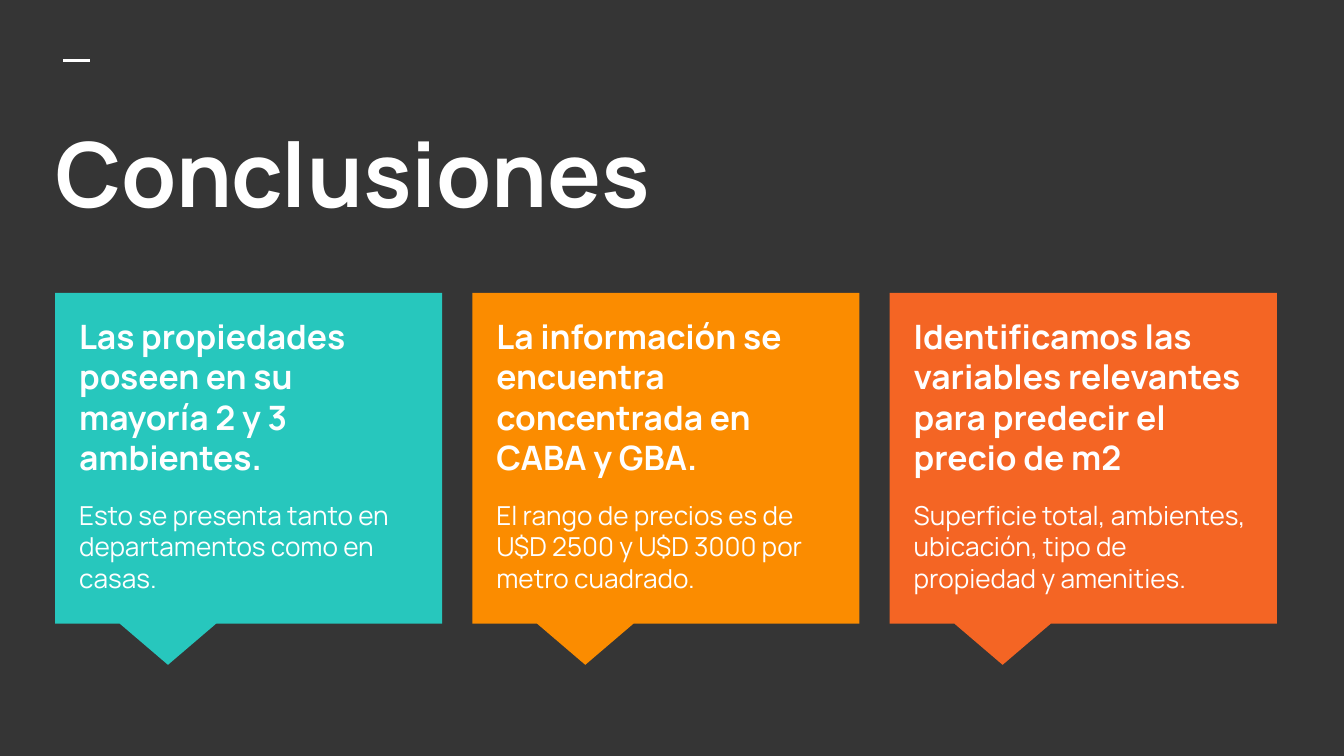
from lxml import etree
from pptx import Presentation
from pptx.dml.color import RGBColor
from pptx.enum.shapes import MSO_CONNECTOR, MSO_SHAPE
from pptx.enum.text import MSO_ANCHOR, MSO_AUTO_SIZE, PP_ALIGN
from pptx.oxml.ns import qn
from pptx.util import Inches, Pt

STRAIGHT = MSO_CONNECTOR.STRAIGHT
CALLOUT = MSO_SHAPE.RECTANGULAR_CALLOUT
TOP = MSO_ANCHOR.TOP
NO_AUTOFIT = MSO_AUTO_SIZE.NONE
LEFT = PP_ALIGN.LEFT

FONT = "Manrope"
DARK = RGBColor(0x35, 0x35, 0x35)
WHITE = RGBColor(0xFF, 0xFF, 0xFF)
TEAL = RGBColor(0x27, 0xC7, 0xBD)
AMBER = RGBColor(0xFB, 0x8C, 0x00)
ORANGE = RGBColor(0xF4, 0x65, 0x24)

PAGE_WIDTH = 10
PAGE_HEIGHT = PAGE_WIDTH * 9 / 16
CARD_LEFT = 0.41
CARD_TOP = 2.18
CARD_STEP = (6.62 - CARD_LEFT) / 2
CARDS = [
    (TEAL, "Las propiedades poseen en su mayoría 2 y 3 ambientes.",
     "Esto se presenta tanto en departamentos como en casas."),
    (AMBER, "La información se encuentra concentrada en CABA y GBA.",
     "El rango de precios es de U$D 2500 y U$D 3000 por metro cuadrado."),
    (ORANGE, "Identificamos las variables relevantes para predecir el precio de m2",
     "Superficie total, ambientes, ubicación, tipo de propiedad y amenities."),
]


def set_frame(frame):
    frame.word_wrap = True
    frame.auto_size = NO_AUTOFIT
    frame.vertical_anchor = TOP
    frame.margin_left = frame.margin_right = Inches(0.1)
    frame.margin_top = frame.margin_bottom = Inches(0.1)


def add_span(para, text, size, bold):
    para.alignment = LEFT
    span = para.add_run()
    span.text = text
    span.font.name = FONT
    span.font.size = Pt(size)
    span.font.bold = bold
    span.font.color.rgb = WHITE


def add_accent_line(page):
    line = page.shapes.add_connector(
        STRAIGHT, Inches(0.47), Inches(0.45), Inches(0.67), Inches(0.45))
    line.line.color.rgb = WHITE
    line.line.width = Pt(1.5)
    etree.SubElement(line._element.spPr, qn("a:effectLst"))


def set_title(page, text):
    title = page.shapes.title
    title.left, title.top = Inches(0.31), Inches(0.78)
    title.width, title.height = Inches(9.43), Inches(1.12)
    set_frame(title.text_frame)
    add_span(title.text_frame.paragraphs[0], text, 48, True)


def add_callout(page, left, color):
    callout = page.shapes.add_shape(
        CALLOUT, Inches(left), Inches(CARD_TOP), Inches(2.88), Inches(2.46))
    callout.adjustments[0] = -5 / 24
    callout.adjustments[1] = 5 / 8
    callout.shadow.inherit = False
    callout.fill.solid()
    callout.fill.fore_color.rgb = color
    callout.line.fill.background()


def add_card_text(page, left, heading, detail):
    box = page.shapes.add_textbox(
        Inches(left + 0.08), Inches(CARD_TOP + 0.07), Inches(2.71), Inches(2.19))
    frame = box.text_frame
    set_frame(frame)
    add_span(frame.paragraphs[0], heading, 18, True)
    para = frame.add_paragraph()
    para.space_before = para.space_after = Pt(12)
    add_span(para, detail, 14, False)


def main():
    deck = Presentation()
    deck.slide_width, deck.slide_height = Inches(PAGE_WIDTH), Inches(PAGE_HEIGHT)
    page = deck.slides.add_slide(deck.slide_layouts[5])
    page.background.fill.solid()
    page.background.fill.fore_color.rgb = DARK
    add_accent_line(page)
    set_title(page, "Conclusiones")
    for index, (color, heading, detail) in enumerate(CARDS):
        left = CARD_LEFT + index * CARD_STEP
        add_callout(page, left, color)
        add_card_text(page, left, heading, detail)
    deck.save("out.pptx")


if __name__ == "__main__":
    main()
